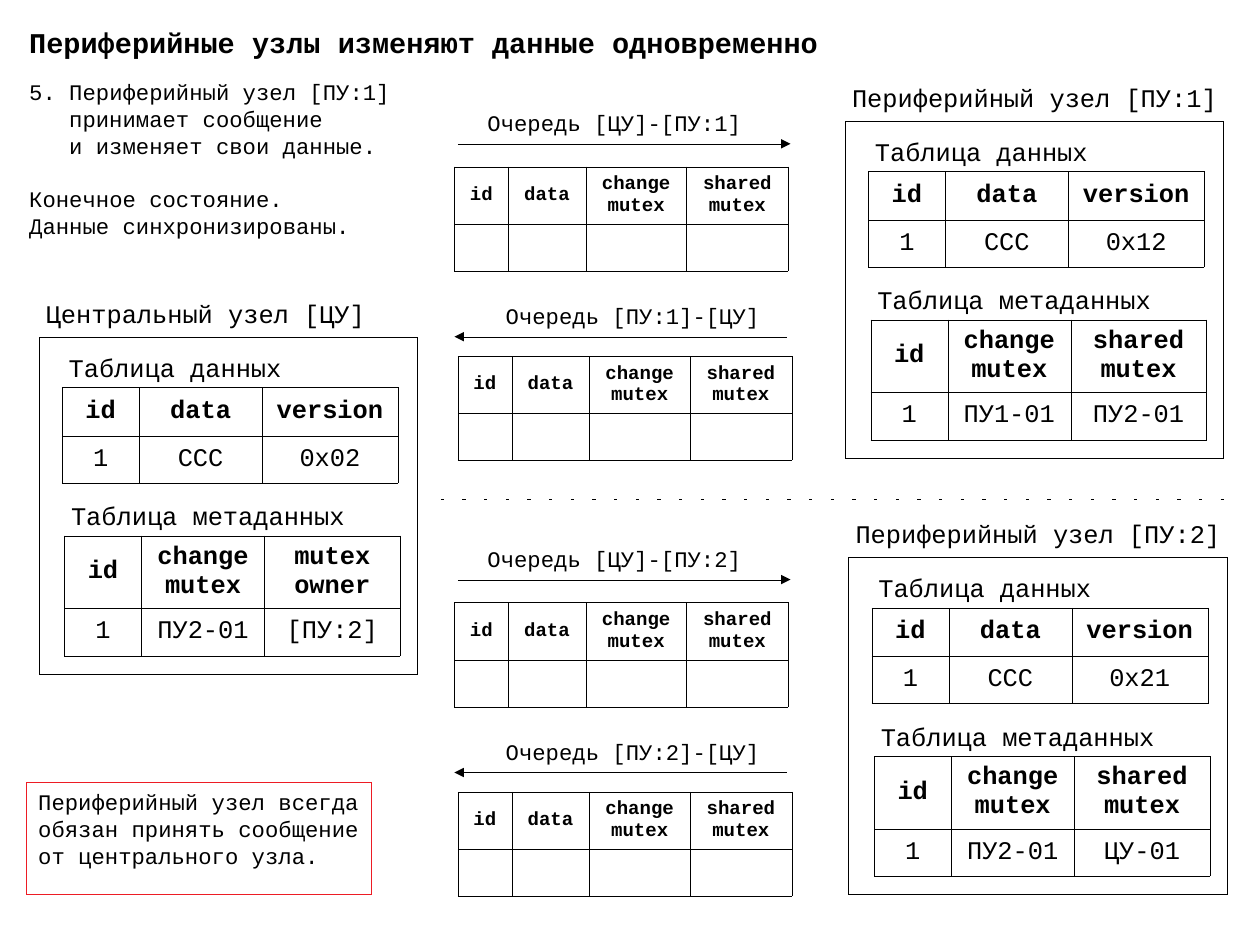
from dataclasses import dataclass

from lxml.etree import SubElement as Sub
from pptx import Presentation
from pptx.dml.color import RGBColor as Color
from pptx.enum.shapes import MSO_CONNECTOR as Conn, MSO_SHAPE as Shape
from pptx.enum.text import MSO_ANCHOR as Anchor, PP_ALIGN as Align
from pptx.oxml.ns import qn
from pptx.util import Pt


@dataclass(frozen=True)
class Theme:
    """Colours, font, type sizes and line widths."""
    ink: Color = Color(0, 0, 0)
    paper: Color = Color(255, 255, 255)
    alert: Color = Color(0xED, 0x1C, 0x24)
    font: str = "Courier New"
    head: int = 18
    node: int = 16
    body: int = 14
    small: int = 12
    lead: float = 16.9
    rule: float = 0.06
    char: float = 0.6


T = Theme()


def style(frame, size, bold=False, align=Align.LEFT):
    """Format every paragraph of a text frame."""
    for para in frame.paragraphs:
        para.alignment = align
        for run in para.runs:
            font = run.font
            font.name, font.size, font.bold = T.font, Pt(size), bold
            font.color.rgb = T.ink


def label(slide, left, top, text, size, bold=False):
    """Place text in a box as wide as its longest line."""
    lines = text.split("\n")
    wide = max(map(len, lines)) * size * T.char + 16
    high = len(lines) * size * 1.13 + 7.2
    box = slide.shapes.add_textbox(Pt(left), Pt(top), Pt(wide), Pt(high))
    frame = box.text_frame
    frame.word_wrap = True
    frame.text = text
    style(frame, size, bold)
    return frame


def stroke(shape, color, width=0):
    """Drop the preset style, set the line and return its element."""
    shape.element.remove(shape.element.find(qn("p:style")))
    shape.line.color.rgb = color
    line = shape.element.spPr.find(qn("a:ln"))
    line.set("w", str(Pt(width)))
    return line


def panel(slide, left, top, wide, high, line):
    """Draw a thin outlined rectangle."""
    box = slide.shapes.add_shape(Shape.RECTANGLE, Pt(left), Pt(top), Pt(wide), Pt(high))
    box.fill.solid()
    box.fill.fore_color.rgb = T.paper
    stroke(box, line)
    box.shadow.inherit = False
    return box


def edge(cell):
    """Give a cell four thin borders and a plain fill."""
    props = cell._tc.get_or_add_tcPr()
    for side in ("lnL", "lnR", "lnT", "lnB"):
        line = Sub(props, qn(f"a:{side}"), w=str(Pt(T.rule)))
        Sub(Sub(line, qn("a:solidFill")), qn("a:srgbClr"), val=str(T.ink))
    cell.fill.solid()
    cell.fill.fore_color.rgb = T.paper


def grid(slide, left, top, cols, rows, data, size):
    """Draw a table with a bold header row."""
    table = slide.shapes.add_table(
        len(rows), len(cols), Pt(left), Pt(top), Pt(sum(cols)), Pt(sum(rows))).table
    table.first_row = table.horz_banding = False
    for col, wide in zip(table.columns, cols):
        col.width = Pt(wide)
    for r, (high, texts) in enumerate(zip(rows, data)):
        table.rows[r].height = Pt(high)
        for c, text in enumerate(texts):
            cell = table.cell(r, c)
            cell.text_frame.text = text
            cell.vertical_anchor = Anchor.MIDDLE
            style(cell.text_frame, size, r == 0, Align.CENTER)
            edge(cell)


def rule(slide, start, end, top, width=0):
    """Draw a level line and return its line element."""
    line = slide.shapes.add_connector(Conn.STRAIGHT, Pt(start), Pt(top), Pt(end), Pt(top))
    form = stroke(line, T.ink, width)
    Sub(line.element.spPr, qn("a:effectLst"))
    return form


def node(slide, left, top, name, data, last, meta):
    """Draw a node panel with its data and metadata tables."""
    panel(slide, left, top, 238.3, 212.4, T.ink)
    label(slide, left - 2.9, top - 28.1, name, T.node)
    cols = (48.6, 77.4, 85.6)
    parts = (
        (11.5, 5.8, "Таблица данных", 30.4, ("id", "data", "version"), data),
        (13, 99.2, "Таблица метаданных", 45.8, ("id", "change\nmutex", last), meta),
    )
    for dx, dy, title, high, heads, row in parts:
        label(slide, left + dx, top + dy, title, T.node)
        grid(slide, left + dx + 2.9, top + dy + 25.9, cols, (high, 29.8), (heads, row), T.node)


def queue(slide, left, top, source, target, back=False):
    """Draw a queue: its name, an arrow and an empty table."""
    dx, start, end, shift, drop = (
        (25.2, 209.5, 0, 2.2, 37.4) if back else (13.7, 2.2, 211.7, 0, 39.6))
    label(slide, left + dx, top, f"Очередь [{source}]-[{target}]", T.body)
    line = rule(slide, left + start, left + end, top + 25.2)
    Sub(line, qn("a:tailEnd"), type="triangle")
    heads = ("id", "data", "change\nmutex", "shared\nmutex")
    grid(slide, left + shift, top + drop, (33.8, 49, 63.4, 64.1), (36.2, 29.5),
         (heads, [""] * 4), T.small)


def steps(slide, left, top):
    """Write the step and the final state."""
    frame = label(slide, left, top, "5. Периферийный узел [ПУ:1]\nпринимает сообщение\n"
                  "и изменяет свои данные.\nКонечное состояние.\nДанные синхронизированы.", T.body)
    paras = frame.paragraphs
    for para in paras:
        para.line_spacing = Pt(T.lead)
    for para in paras[1:3]:
        para._p.get_or_add_pPr().set("marL", str(Pt(3 * T.char * T.body)))
    paras[3].space_before = Pt(T.lead)


def note(slide, left, top, wide, high):
    """Write the rule in a red frame."""
    box = panel(slide, left, top, wide, high, T.alert)
    box.fill.background()
    frame = box.text_frame
    frame.word_wrap = True
    frame.vertical_anchor = Anchor.TOP
    frame.text = "Периферийный узел всегда\nобязан принять сообщение\nот центрального узла."
    style(frame, T.body)
    for para in frame.paragraphs:
        para.line_spacing = Pt(T.lead)


def split(slide, start, end, top):
    """Draw the dotted line between the two peers."""
    dash = Sub(rule(slide, start, end, top, 0.25), qn("a:custDash"))
    Sub(dash, qn("a:ds"), d="800000", sp="4550000")


def main():
    """Build and save the slide."""
    deck = Presentation()
    deck.slide_width, deck.slide_height = Pt(793.75), Pt(595.25)
    slide = deck.slides.add_slide(deck.slide_layouts[6])
    label(slide, 11.3, 12.2, "Периферийные узлы изменяют данные одновременно", T.head, True)
    steps(slide, 11.3, 45.8)
    node(slide, 24.7, 212.4, "Центральный узел [ЦУ]", ("1", "CCC", "0x02"),
         "mutex\nowner", ("1", "ПУ2-01", "[ПУ:2]"))
    node(slide, 532.6, 76.3, "Периферийный узел [ПУ:1]", ("1", "CCC", "0x12"),
         "shared\nmutex", ("1", "ПУ1-01", "ПУ2-01"))
    node(slide, 534.8, 351.2, "Периферийный узел [ПУ:2]", ("1", "CCC", "0x21"),
         "shared\nmutex", ("1", "ПУ2-01", "ЦУ-01"))
    for i, peer in enumerate(("ПУ:1", "ПУ:2")):
        top = 65.4 + i * 274.5
        queue(slide, 286.3, top, "ЦУ", peer)
        queue(slide, 286.3, top + 121.5, peer, "ЦУ", True)
    split(slide, 277.7, 776.9, 314.4)
    note(slide, 17, 493, 216.8, 70.6)
    deck.save("out.pptx")


if __name__ == "__main__":
    main()
